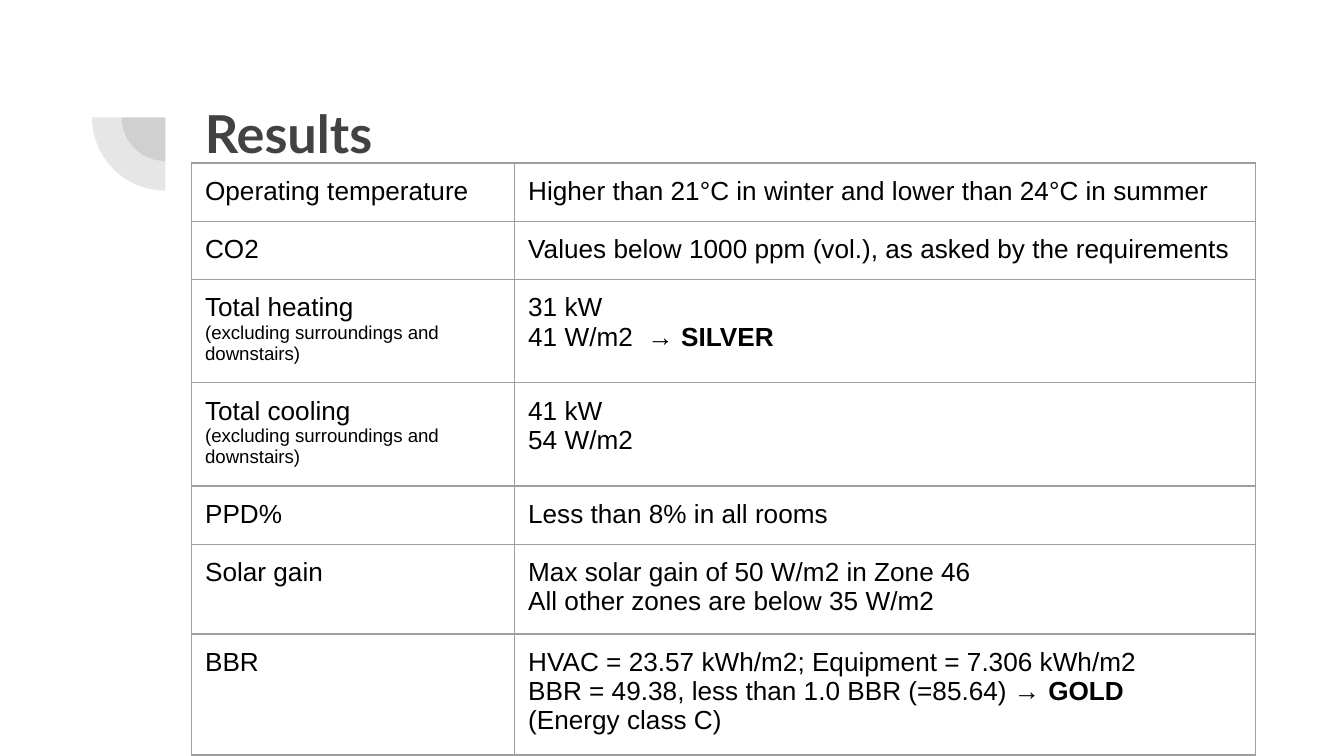
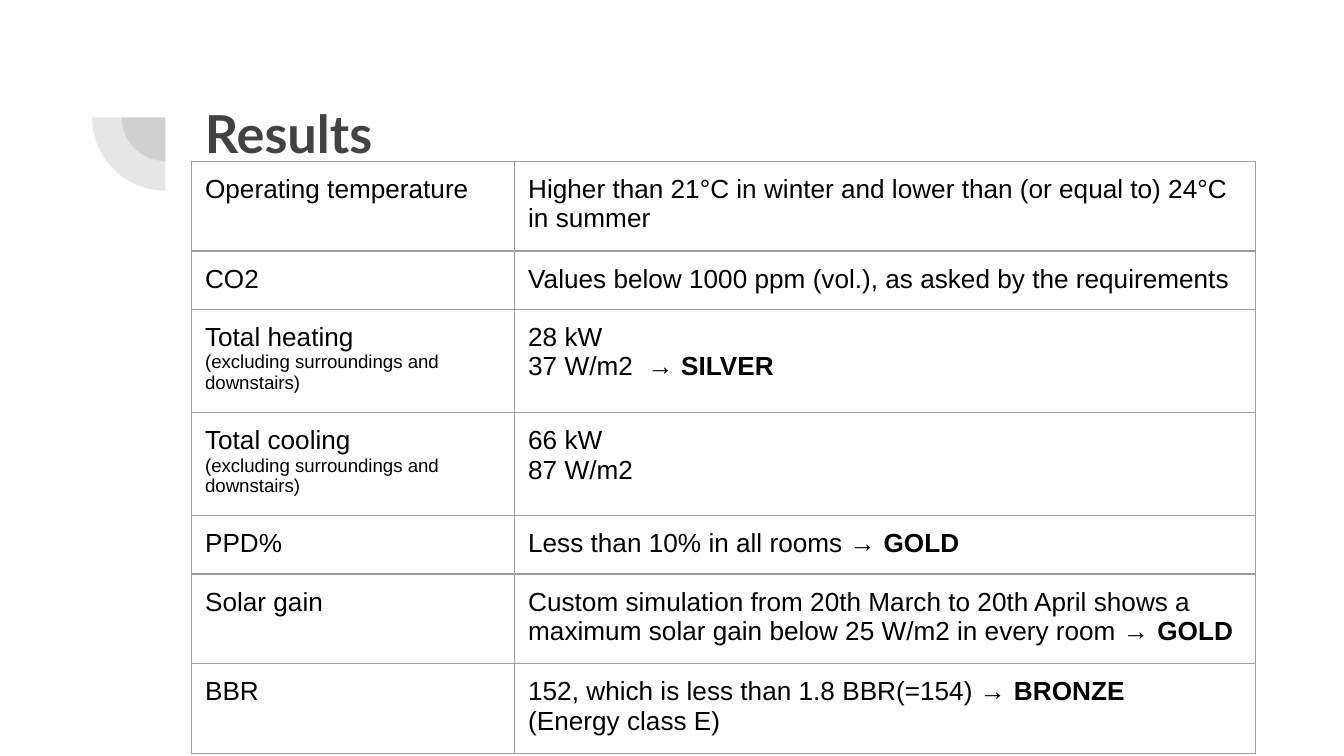
from dataclasses import dataclass
from lxml.etree import SubElement
from pptx import Presentation
from pptx.dml.color import RGBColor as Rgb
from pptx.enum.shapes import MSO_SHAPE as Preset
from pptx.enum.text import MSO_ANCHOR as Anchor
from pptx.oxml.ns import qn
from pptx.util import Inches, Pt


@dataclass(frozen=True)
class Theme:
    heading_font: str = "Lato"
    body_font: str = "Arial"
    heading_size: int = 28
    body_size: int = 14
    note_size: int = 10
    charcoal: str = "424242"
    ink: str = "000000"
    rule: str = "9E9E9E"
    rule_width: float = 0.75
    arc_alpha: int = 13


THEME = Theme()
UNIT = Inches(0.1)
SLIDE_COLUMNS, SLIDE_ROWS = 100, 56.25
CONTENT_LEFT = 14.26
TABLE_COLUMNS = (24.04, 55.1)
LINE_HEIGHT, NOTED_HEIGHT = 2.2, 7.3
ARC_CENTER = (12.3, 8.73)
ARC_RADII = (3.25, 5.45)
ARROW = "→ "
SCOPE = "(excluding surroundings and downstairs)"
LABELS = (
    ("Operating temperature",),
    ("CO2",),
    ("Total heating", SCOPE),
    ("Total cooling", SCOPE),
    ("PPD%",),
    ("Solar gain",),
    ("BBR",),
)
CO2_FINDING = ("Values below 1000 ppm (vol.), as asked by the requirements",)
FIRST_LINE_COUNTS = (1, 1, 2, 2, 1, 2, 3)
FIRST_FINDINGS = (
    ("Higher than 21°C in winter and lower than 24°C in summer",),
    CO2_FINDING,
    ("31 kW", "41 W/m2  → SILVER"),
    ("41 kW", "54 W/m2"),
    ("Less than 8% in all rooms",),
    ("Max solar gain of 50 W/m2 in Zone 46", "All other zones are below 35 W/m2"),
    (
        "HVAC = 23.57 kWh/m2; Equipment = 7.306 kWh/m2",
        "BBR = 49.38, less than 1.0 BBR (=85.64) → GOLD",
        "(Energy class C)",
    ),
)
SECOND_LINE_COUNTS = (2, 1, 2, 2, 1, 2, 2)
SECOND_FINDINGS = (
    ("Higher than 21°C in winter and lower than (or equal to) 24°C in summer",),
    CO2_FINDING,
    ("28 kW", "37 W/m2  → SILVER"),
    ("66 kW", "87 W/m2"),
    ("Less than 10% in all rooms → GOLD",),
    (
        "Custom simulation from 20th March to 20th April shows a maximum "
        "solar gain below 25 W/m2 in every room → GOLD",
    ),
    ("152, which is less than 1.8 BBR(=154) → BRONZE", "(Energy class E)"),
)


def grid(*counts):
    return [round(count * UNIT) for count in counts]


def style_font(font, family, size, color):
    font.name = family
    font.size = Pt(size)
    font.color.rgb = Rgb.from_string(color)


def set_insets(holder):
    holder.margin_left = holder.margin_right = UNIT
    holder.margin_top = holder.margin_bottom = UNIT


def add_arc(slide, radius):
    center_x, center_y = ARC_CENTER
    arc = slide.shapes.add_shape(
        Preset.PIE,
        *grid(center_x - radius, center_y - radius, 2 * radius, 2 * radius),
    )
    arc.adjustments[0], arc.adjustments[1] = 108, 162
    arc.rotation = 270
    arc.shadow.inherit = False
    arc.line.fill.background()
    arc.fill.solid()
    arc.fill.fore_color.rgb = Rgb.from_string(THEME.charcoal)
    tint = arc.fill._xPr.find(qn("a:solidFill"))[0]
    SubElement(tint, qn("a:alpha"), val=str(THEME.arc_alpha * 1000))


def add_heading(slide, wording):
    frame = slide.shapes.add_textbox(*grid(CONTENT_LEFT, 6.5, 76.9, 10.9)).text_frame
    frame.word_wrap = True
    frame.vertical_anchor = Anchor.TOP
    set_insets(frame)
    heading = frame.paragraphs[0]
    heading.text = wording
    style_font(heading.font, THEME.heading_font, THEME.heading_size, THEME.charcoal)
    heading.font.bold = True


def add_borders(cell):
    properties = cell._tc.get_or_add_tcPr()
    for side in ("lnL", "lnR", "lnT", "lnB"):
        border = SubElement(
            properties, qn(f"a:{side}"), w=str(Pt(THEME.rule_width))
        )
        paint = SubElement(border, qn("a:solidFill"))
        SubElement(paint, qn("a:srgbClr"), val=THEME.rule)


def write_line(paragraph, wording, size):
    style_font(paragraph.font, THEME.body_font, size, THEME.ink)
    lead, arrow, award = wording.partition(ARROW)
    paragraph.add_run().text = lead + arrow
    if award:
        rating = paragraph.add_run()
        rating.text = award
        rating.font.bold = True


def fill_cell(cell, lines, later_size):
    set_insets(cell)
    cell.vertical_anchor = Anchor.TOP
    add_borders(cell)
    cell.fill.background()
    frame = cell.text_frame
    for index, wording in enumerate(lines):
        paragraph = frame.add_paragraph() if index else frame.paragraphs[0]
        write_line(paragraph, wording, later_size if index else THEME.body_size)


def row_height(label, line_count):
    return NOTED_HEIGHT if SCOPE in label else 2 + line_count * LINE_HEIGHT


def add_results_table(slide, top, findings, line_counts):
    heights = [row_height(*entry) for entry in zip(LABELS, line_counts)]
    results = slide.shapes.add_table(
        len(LABELS),
        len(TABLE_COLUMNS),
        *grid(CONTENT_LEFT, top, sum(TABLE_COLUMNS), sum(heights)),
    ).table
    results.first_row = results.horz_banding = False
    for column, width in zip(results.columns, grid(*TABLE_COLUMNS)):
        column.width = width
    for row, height, label, finding in zip(
        results.rows, grid(*heights), LABELS, findings
    ):
        row.height = height
        fill_cell(row.cells[0], label, THEME.note_size)
        fill_cell(row.cells[1], finding, THEME.body_size)


def add_results_slide(deck, table_top, findings, line_counts):
    slide = deck.slides.add_slide(deck.slide_layouts[6])
    for radius in ARC_RADII:
        add_arc(slide, radius)
    add_heading(slide, "Results")
    add_results_table(slide, table_top, findings, line_counts)


def main():
    deck = Presentation()
    deck.slide_width, deck.slide_height = grid(SLIDE_COLUMNS, SLIDE_ROWS)
    add_results_slide(deck, 12.13, FIRST_FINDINGS, FIRST_LINE_COUNTS)
    add_results_slide(deck, 12, SECOND_FINDINGS, SECOND_LINE_COUNTS)
    deck.save("out.pptx")


if __name__ == "__main__":
    main()
